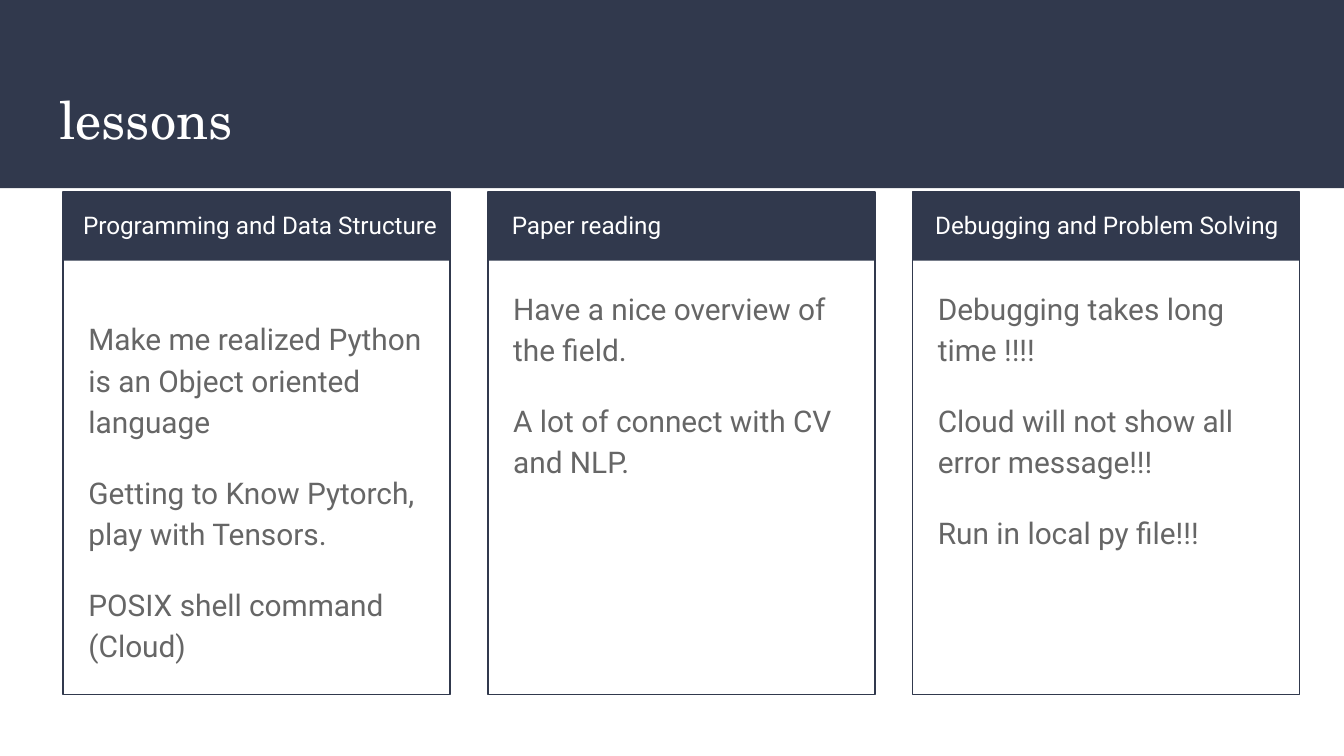
from pptx import Presentation
from pptx.dml.color import RGBColor
from pptx.enum.shapes import MSO_SHAPE
from pptx.enum.text import MSO_ANCHOR, MSO_AUTO_SIZE, PP_ALIGN
from pptx.util import Inches, Pt

RECTANGLE = MSO_SHAPE.RECTANGLE
TOP = MSO_ANCHOR.TOP
LEFT = PP_ALIGN.LEFT
NO_AUTOFIT = MSO_AUTO_SIZE.NONE
TITLE_ONLY = 5

NAVY, WHITE, GREY = "31394D", "FFFFFF", "666666"
TITLE_FONT, BODY_FONT = "TeX Gyre Schola", "Roboto"

CARD_LEFT, CARD_TOP, CARD_STEP = 0.47, 1.43, 3.16
CARD_WIDTH, CARD_HEIGHT, HEADING_HEIGHT = 2.88, 3.74, 0.51
BODY_INDENT, BODY_WIDTH, BODY_BOTTOM = 0.09, 2.71, 5.08

# Heading, heading indent, top of the body text, lessons
CARDS = [
    ("Programming and Data Structure", 0.05, 2.25, [
        "Make me realized Python is an Object oriented language",
        "Getting to Know Pytorch, play with Tensors.",
        "POSIX shell command (Cloud)",
    ]),
    ("Paper reading", 0.08, 2.02, [
        "Have a nice overview of the field.",
        "A lot of connect with CV and NLP.",
    ]),
    ("Debugging and Problem Solving", 0.07, 2.02, [
        "Debugging takes long time !!!!",
        "Cloud will not show all error message!!!",
        "Run in local py file!!!",
    ]),
]


def color(hex_value):
    return RGBColor.from_string(hex_value)


def add_rectangle(slide, left, top, width, height, fill=None, line=None):
    rectangle = slide.shapes.add_shape(
        RECTANGLE, Inches(left), Inches(top), Inches(width), Inches(height))
    rectangle.shadow.inherit = False
    if fill:
        rectangle.fill.solid()
        rectangle.fill.fore_color.rgb = color(fill)
    else:
        rectangle.fill.background()
    if line:
        rectangle.line.color.rgb = color(line)
        rectangle.line.width = Pt(0.75)
    else:
        rectangle.line.fill.background()
    return rectangle


def write_text(shape, texts, font, size, font_color, spacing=1.15):
    """Write one paragraph per text, with a gap of one font size between them."""
    frame = shape.text_frame
    frame.word_wrap = True
    frame.auto_size = NO_AUTOFIT
    frame.vertical_anchor = TOP
    frame.margin_left = frame.margin_right = Inches(0.1)
    frame.margin_top = frame.margin_bottom = Inches(0.1)
    for index, text in enumerate(texts):
        paragraph = frame.add_paragraph() if index else frame.paragraphs[0]
        paragraph.alignment = LEFT
        paragraph.line_spacing = spacing
        paragraph.space_before = Pt(size if index else 0)
        run = paragraph.add_run()
        run.text = text
        run.font.name = font
        run.font.size = Pt(size)
        run.font.color.rgb = color(font_color)


def add_text(slide, left, top, width, height, texts, size, font_color):
    box = slide.shapes.add_textbox(
        Inches(left), Inches(top), Inches(width), Inches(height))
    write_text(box, texts, BODY_FONT, size, font_color)


def add_title(slide, text):
    title = slide.shapes.title
    title.left, title.top = Inches(0.34), Inches(0.55)
    title.width, title.height = Inches(9.32), Inches(0.68)
    write_text(title, [text], TITLE_FONT, 28, WHITE, spacing=1.0)


def add_banner(slide):
    """Add the title band behind the title placeholder."""
    banner = add_rectangle(slide, 0, 0, 10, 1.4, fill=NAVY)
    slide.shapes.title._element.addprevious(banner._element)


def add_card(slide, left, heading, heading_indent, body_top, lessons):
    add_rectangle(slide, left, CARD_TOP, CARD_WIDTH, HEADING_HEIGHT, fill=NAVY)
    add_rectangle(slide, left, CARD_TOP, CARD_WIDTH, CARD_HEIGHT, line=NAVY)
    add_text(slide, left + heading_indent, CARD_TOP, 2.97, 0.5,
             [heading], 13, WHITE)
    add_text(slide, left + BODY_INDENT, body_top, BODY_WIDTH,
             BODY_BOTTOM - body_top, lessons, 16, GREY)


def main():
    presentation = Presentation()
    presentation.slide_width = Inches(10)
    presentation.slide_height = Inches(10 * 9 / 16)
    slide = presentation.slides.add_slide(presentation.slide_layouts[TITLE_ONLY])
    slide.background.fill.solid()
    slide.background.fill.fore_color.rgb = color(WHITE)
    add_title(slide, "lessons")
    add_banner(slide)
    for column, card in enumerate(CARDS):
        add_card(slide, CARD_LEFT + column * CARD_STEP, *card)
    presentation.save("out.pptx")


if __name__ == "__main__":
    main()
